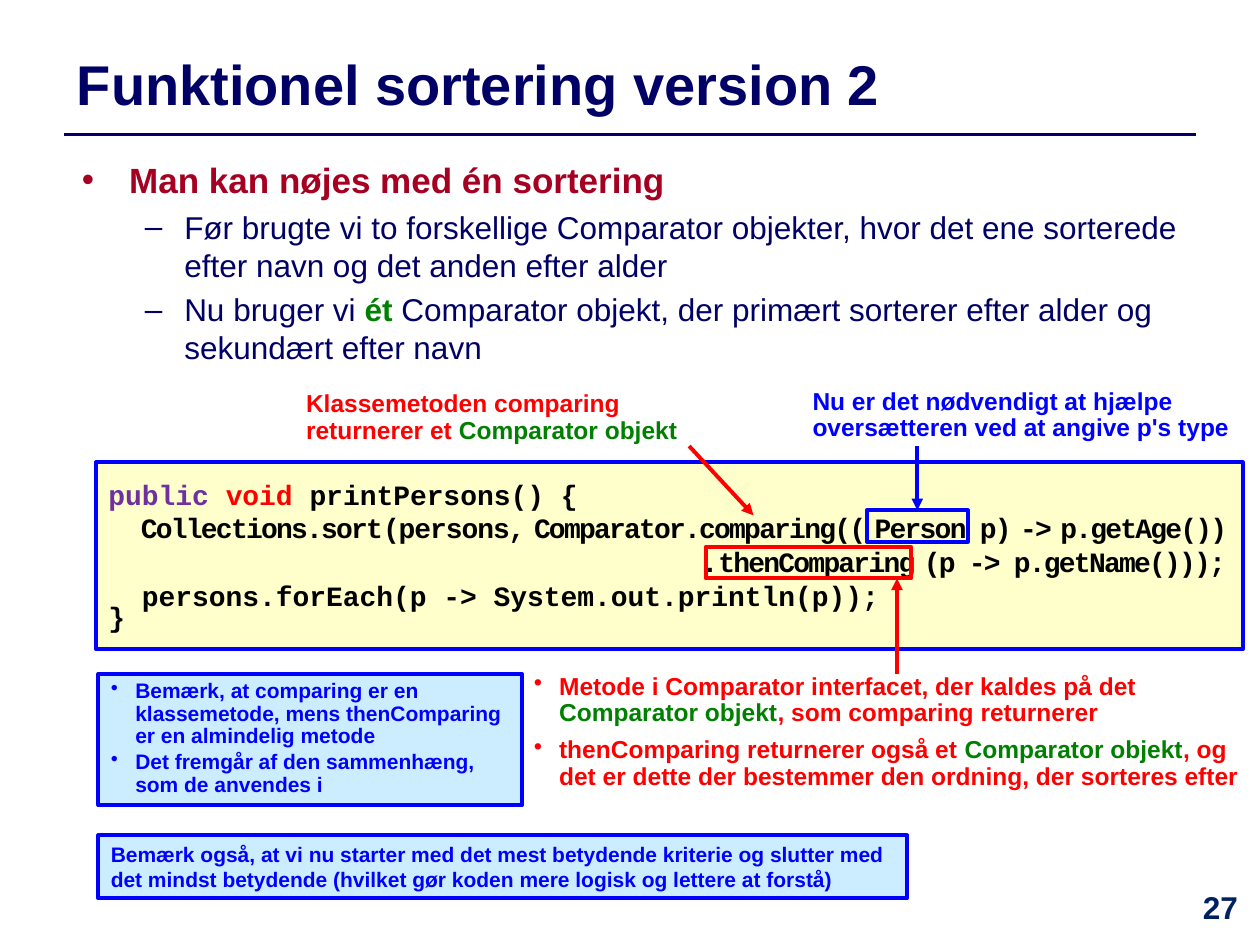
from dataclasses import dataclass, field
from typing import Optional

import lxml.etree
import pptx
import pptx.dml.color
import pptx.enum.shapes
import pptx.enum.text
import pptx.oxml.ns
import pptx.util

Pt = pptx.util.Pt
RGBColor = pptx.dml.color.RGBColor
qualified = pptx.oxml.ns.qn


@dataclass(frozen=True)
class Theme:
    navy: str = "000066"
    number: str = "002060"
    crimson: str = "A50021"
    red: str = "FF0000"
    blue: str = "0000FF"
    green: str = "008000"
    purple: str = "7030A0"
    black: str = "000000"
    cream: str = "FFFFCC"
    sky: str = "CCECFF"
    font: str = "Arial"
    code_font: str = "Courier New"
    title: float = 32
    heading: float = 20
    text: float = 18
    code: float = 16
    callout: float = 14
    note: float = 12
    gap: float = 8
    line: float = 2.25


THEME = Theme()


@dataclass(frozen=True)
class Run:
    text: str
    color: str
    size: float
    bold: bool = True
    font: str = THEME.font
    spacing: float = 0


@dataclass(frozen=True)
class Paragraph:
    runs: list[Run]
    format: dict = field(default_factory=dict)
    bullet: str = ""
    left: float = 0
    hanging: float = 0


@dataclass(frozen=True)
class Box:
    left: float
    top: float
    width: float
    height: float
    paragraphs: list[Paragraph] = field(default_factory=list)
    fill: Optional[str] = None
    line: Optional[str] = None
    inset: float = 3.6


@dataclass(frozen=True)
class Line:
    start: tuple[float, float]
    end: tuple[float, float]
    color: str
    width: float = THEME.line
    arrow: bool = True


def apply(target, values: dict) -> None:
    for name, value in values.items():
        setattr(target, name, value)


def write_run(paragraph, content: Run) -> None:
    for index, piece in enumerate(content.text.split("\n")):
        if index:
            paragraph.add_line_break()
        run = paragraph.add_run()
        run.text = piece
        apply(run.font, {"name": content.font, "size": Pt(content.size), "bold": content.bold})
        run.font.color.rgb = RGBColor.from_string(content.color)
        if content.spacing:
            run._r.get_or_add_rPr().set("spc", str(round(content.spacing * 100)))


def write_text(frame, paragraphs: list[Paragraph], inset: float = 3.6,
               anchor=pptx.enum.text.MSO_ANCHOR.TOP) -> None:
    apply(frame, {
        "word_wrap": True, "auto_size": pptx.enum.text.MSO_AUTO_SIZE.NONE,
        "vertical_anchor": anchor, "margin_left": Pt(7.2), "margin_right": Pt(7.2),
        "margin_top": Pt(inset), "margin_bottom": Pt(inset)})
    for index, content in enumerate(paragraphs):
        paragraph = frame.paragraphs[0] if index == 0 else frame.add_paragraph()
        properties = paragraph._p.get_or_add_pPr()
        properties.set("marL", str(Pt(content.left)))
        properties.set("indent", str(Pt(-content.hanging)))
        if content.bullet:
            lxml.etree.SubElement(properties, qualified("a:buChar")).set("char", content.bullet)
        values = {"alignment": pptx.enum.text.PP_ALIGN.LEFT, "space_before": Pt(0)}
        values |= content.format
        if index == 0:
            values["space_before"] = Pt(0)
        apply(paragraph, values)
        for run in content.runs:
            write_run(paragraph, run)


def place(shape, box: Box) -> None:
    apply(shape, {name: Pt(getattr(box, name)) for name in ("left", "top", "width", "height")})


def draw_box(slide, box: Box) -> None:
    bounds = [Pt(value) for value in (box.left, box.top, box.width, box.height)]
    if box.line is None:
        shape = slide.shapes.add_textbox(*bounds)
    else:
        shape = slide.shapes.add_shape(pptx.enum.shapes.MSO_SHAPE.RECTANGLE, *bounds)
        shape.shadow.inherit = False
        shape.line.color.rgb = RGBColor.from_string(box.line)
        shape.line.width = Pt(THEME.line)
        if box.fill:
            shape.fill.solid()
            shape.fill.fore_color.rgb = RGBColor.from_string(box.fill)
        else:
            shape.fill.background()
    if box.paragraphs:
        write_text(shape.text_frame, box.paragraphs, box.inset)


def draw_line(slide, line: Line) -> None:
    connector = slide.shapes.add_connector(
        pptx.enum.shapes.MSO_CONNECTOR.STRAIGHT, *[Pt(value) for value in line.start + line.end])
    connector.line.color.rgb = RGBColor.from_string(line.color)
    connector.line.width = Pt(line.width)
    if line.arrow:
        outline = connector.line._get_or_add_ln()
        lxml.etree.SubElement(outline, qualified("a:tailEnd")).set("type", "triangle")
    lxml.etree.SubElement(connector._element.spPr, qualified("a:effectLst"))


def code(text: str, spacing: float = 0, color: str = THEME.black, size: float = THEME.code) -> Run:
    return Run(text, color, size, font=THEME.code_font, spacing=spacing)


def callout(text: str, color: str = THEME.red) -> Run:
    return Run(text, color, THEME.callout)


def note(text: str) -> Run:
    return Run(text, THEME.blue, THEME.note)


def body(text: str) -> Run:
    return Run(text, THEME.navy, THEME.text, bold=False)


def main() -> None:
    presentation = pptx.Presentation()
    apply(presentation, {"slide_width": Pt(720), "slide_height": Pt(540)})
    slide = presentation.slides.add_slide(presentation.slide_layouts[1])
    title, content = slide.placeholders
    gap = code(" ", -0.6, size=THEME.gap)
    comparator = callout("Comparator objekt", THEME.green)
    tight = {"line_spacing": 0.9, "space_before": Pt(6)}
    tight_note = {"line_spacing": 0.9, "space_before": Pt(2)}
    second_level = {"level": 1, "space_before": Pt(4)}

    place(title, Box(36.7, 20.2, 646.6, 54))
    write_text(title.text_frame,
               [Paragraph([Run("Funktionel sortering version 2", THEME.navy, THEME.title)])],
               anchor=pptx.enum.text.MSO_ANCHOR.MIDDLE)
    place(content, Box(39.6, 87.1, 671.8, 126.7))
    write_text(content.text_frame, [
        Paragraph([Run("Man kan nøjes med én sortering", THEME.crimson, THEME.heading)], {}, "•", 27, 27),
        Paragraph([body("Før brugte vi to forskellige Comparator objekter, hvor det ene sorterede efter navn "
                        "og det anden efter alder")], second_level, "–", 58.5, 22.5),
        Paragraph([body("Nu bruger vi "), Run("ét ", THEME.green, THEME.text),
                   body("Comparator objekt, der primært sorterer efter alder og sekundært efter navn")],
                  second_level, "–", 58.5, 22.5)])

    code_lines = [
        Paragraph([code("public ", color=THEME.purple), code("void ", color=THEME.red),
                   code("printPersons() {")]),
        Paragraph([code("  ", -0.6), code("Collections.sort", -1), code("(persons,", -0.6), gap,
                   code("Comparator.comparing((", -1), gap, code("Person p)", -1), gap,
                   code("->", -1), gap, code("p.getAge())", -1)]),
        Paragraph([code(" " * 80, -0.6, size=THEME.gap), code(".", -0.6), code("thenComparing", -1),
                   gap, code("(p -> p.getName()));", -1)]),
        Paragraph([code("  persons.forEach(p -> System.out.println(p));")]),
        Paragraph([code("}", -1)], {"line_spacing": 0.6})]
    methods = [
        Paragraph([callout("Metode i Comparator interfacet, der kaldes på det "), comparator,
                   callout(", som comparing returnerer")], tight, "•", 14.4, 14.4),
        Paragraph([callout("thenComparing returnerer også et "), comparator,
                   callout(", og\ndet er dette der bestemmer den ordning, der sorteres efter")],
                  tight, "•", 14.4, 14.4)]
    remarks = [Paragraph([note(text)], tight_note, "•", 14, 14) for text in (
        "Bemærk, at comparing er en klassemetode, mens thenComparing er en almindelig metode",
        "Det fremgår af den sammenhæng, som de anvendes i")]
    conclusion = Paragraph([note(
        "Bemærk også, at vi nu starter med det mest betydende kriterie og slutter med "
        "det mindst betydende (hvilket gør koden mere logisk og lettere at forstå)")])
    type_hint = Paragraph([callout("Nu er det nødvendigt at hjælpe oversætteren ved at angive p's type",
                                   THEME.blue)], tight)
    class_method = Paragraph([callout("Klassemetoden comparing returnerer et "), comparator], tight)
    page = Paragraph([Run("27", THEME.number, THEME.text)],
                     {"alignment": pptx.enum.text.PP_ALIGN.CENTER})

    for box in (
            Box(671.8, 504, 51, 36, [page]),
            Box(54.9, 264.2, 655.3, 106.8, code_lines, THEME.cream, THEME.blue, 8.6),
            Box(298, 381.6, 420, 74, methods),
            Box(403.2, 312.5, 117.5, 18, line=THEME.red),
            Box(495.4, 291.6, 57.7, 18, line=THEME.blue),
            Box(457.2, 218.9, 262, 38, [type_hint]),
            Box(56.2, 385.2, 242, 74.9, remarks, THEME.sky, THEME.blue),
            Box(167.8, 220.3, 234.7, 38, [class_method]),
            Box(56.2, 477.4, 462.2, 36, [conclusion], THEME.sky, THEME.blue)):
        draw_box(slide, box)
    for line in (
            Line((36.7, 77), (683.3, 77), THEME.navy, 2, arrow=False),
            Line((512.6, 385.2), (512.6, 330.5), THEME.red),
            Line((524.2, 254.9), (524.2, 291.6), THEME.blue),
            Line((393.8, 254.9), (430.6, 294.5), THEME.red)):
        draw_line(slide, line)
    presentation.save("out.pptx")


if __name__ == "__main__":
    main()
